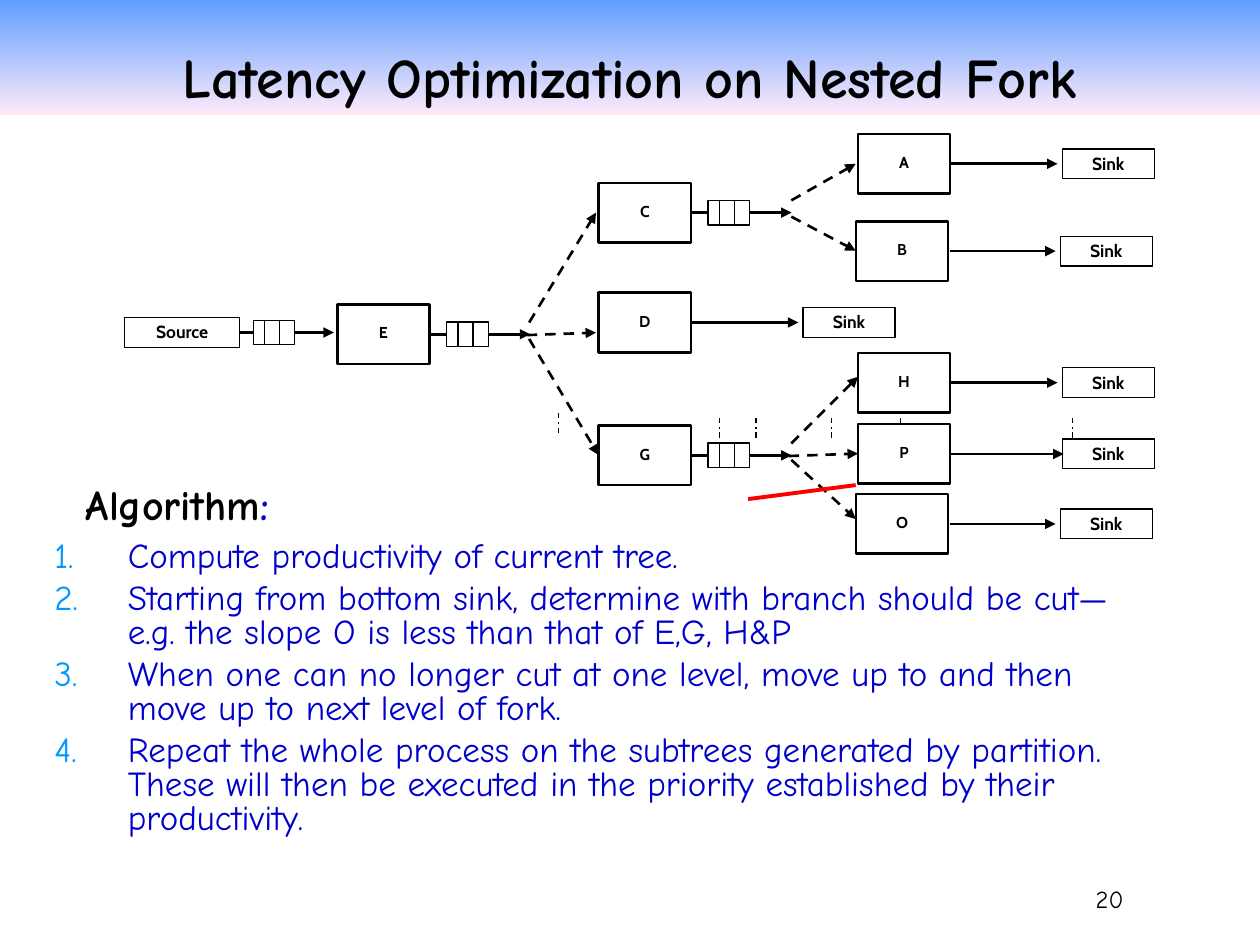
from lxml import etree
from pptx import Presentation
from pptx.dml.color import RGBColor
from pptx.enum.dml import MSO_LINE
from pptx.enum.shapes import MSO_CONNECTOR, MSO_SHAPE
from pptx.enum.text import MSO_ANCHOR, PP_ALIGN
from pptx.oxml.ns import qn
from pptx.util import Pt

RECTANGLE = MSO_SHAPE.RECTANGLE
STRAIGHT = MSO_CONNECTOR.STRAIGHT
DASH, DASH_DOT = MSO_LINE.DASH, MSO_LINE.DASH_DOT
LEFT, CENTER, RIGHT = PP_ALIGN.LEFT, PP_ALIGN.CENTER, PP_ALIGN.RIGHT
TOP, BOTTOM = MSO_ANCHOR.TOP, MSO_ANCHOR.BOTTOM

COLORS = {
    "ink": "000000",
    "paper": "FFFFFF",
    "sky": "5E9EFF",
    "blush": "FFEBFA",
    "body": "0000CC",
    "number": "0099FF",
    "cut": "FF0000",
}
HEADING_FONT, DIAGRAM_FONT = "Comic Neue", "Cabin"

NODE_W, NODE_H = 52.6, 34
TAG_H = 17
LABEL_W = 26
SINK_OFFSET = 116.7
TRUNK = 57.6
QUEUE_W, QUEUE_H = 23.8, 14.1
QUEUE_DIVIDERS = (6.5, 15.1)

NODES = {
    "E": (192.8, 191), "C": (342.2, 121.5), "D": (342.2, 184.3),
    "G": (342.2, 260.2), "A": (490.3, 93.6), "B": (489.2, 143.5),
    "H": (490.3, 218.7), "P": (490.3, 259.4), "O": (489.2, 299.4),
}
FORKS = "ECG"
LEAVES = "DABHPO"
BRANCHES = [
    (302.4, 184.3, 340.6, 121.5), (301, 191.5, 340.6, 190.1),
    (302.4, 193.7, 342, 260), (452.2, 114.5, 489, 93.6),
    (452.2, 123.8, 489, 143.3), (452.2, 253.4, 490.3, 215.3),
    (450.7, 260.6, 490.3, 259.2), (452.2, 262.8, 489, 296.6),
]
ELLIPSES = [(319, 236.2), (411.1, 239), (432, 239), (475.2, 239),
            (514.8, 239), (612.7, 239)]
STEPS = [
    "Compute productivity of current tree.",
    "Starting from bottom sink, determine with branch should be cut—"
    "e.g. the slope O is less than that of E,G, H&P",
    "When one can no longer cut at one level, move up to and then "
    "move up to next level of fork.",
    "Repeat the whole process on the subtrees generated by partition. "
    "These will then be executed in the priority established by their "
    "productivity.",
]


def rgb(name):
    return RGBColor.from_string(COLORS[name])


def style_font(font, face, size, color="ink", bold=False):
    font.name = face
    font.size = Pt(size)
    font.bold = bold
    font.color.rgb = rgb(color)


def set_frame(frame, anchor=TOP, insets=(7.2, 3.6, 7.2, 3.6)):
    frame.word_wrap = True
    frame.vertical_anchor = anchor
    (frame.margin_left, frame.margin_top,
     frame.margin_right, frame.margin_bottom) = map(Pt, insets)


def write(frame, text, face, size, bold=False, align=CENTER):
    paragraph = frame.paragraphs[0]
    paragraph.text = text
    paragraph.alignment = align
    style_font(paragraph.runs[0].font, face, size, bold=bold)


def add_text(slide, left, top, width, height, **frame_options):
    frame = slide.shapes.add_textbox(
        Pt(left), Pt(top), Pt(width), Pt(height)).text_frame
    set_frame(frame, **frame_options)
    return frame


def add_box(shapes, left, top, width, height, border=None):
    box = shapes.add_shape(RECTANGLE, Pt(left), Pt(top), Pt(width), Pt(height))
    box.shadow.inherit = False
    box.fill.solid()
    box.fill.fore_color.rgb = rgb("paper")
    if border:
        box.line.color.rgb = rgb("ink")
        box.line.width = Pt(border)
    else:
        box.line.fill.background()
    return box


def add_tag(shapes, text, left, center, width=NODE_W, size=10, border=0.75):
    tag = add_box(shapes, left, center - TAG_H / 2, width, TAG_H, border)
    set_frame(tag.text_frame, insets=(2.2,) * 4)
    write(tag.text_frame, text, DIAGRAM_FONT, size, bold=True)


def add_line(shapes, x1, y1, x2, y2, width=1.5, color="ink", dash=None,
             arrow=False):
    line = shapes.add_connector(STRAIGHT, Pt(x1), Pt(y1), Pt(x2), Pt(y2))
    line.line.color.rgb = rgb(color)
    line.line.width = Pt(width)
    if dash:
        line.line.dash_style = dash
    if arrow:
        etree.SubElement(line.line._get_or_add_ln(), qn("a:tailEnd"),
                         type="triangle")
    etree.SubElement(line._element.spPr, qn("a:effectLst"))


def add_node(shapes, name):
    left, center = NODES[name]
    add_box(shapes, left, center - NODE_H / 2, NODE_W, NODE_H, 1.5)
    add_tag(shapes, name, left + (NODE_W - LABEL_W) / 2, center, LABEL_W,
            size=9, border=None)


def add_queue(shapes, left, center):
    queue = shapes.add_group_shape().shapes
    top = center - QUEUE_H / 2
    add_box(queue, left, top, QUEUE_W, QUEUE_H, 0.75)
    for offset in QUEUE_DIVIDERS:
        add_line(queue, left + offset, top, left + offset, top + QUEUE_H, 0.75)


def add_diagram(shapes):
    for x, y in ELLIPSES:
        add_line(shapes, x, y, x, y + 11.5, 0.75, dash=DASH_DOT)
    add_tag(shapes, "Source", 71.2, 190, 65.8)
    add_line(shapes, 136.8, 190, 190.8, 190, arrow=True)
    add_queue(shapes, 144.7, 190)
    for name in NODES:
        add_node(shapes, name)
    for name in FORKS:
        left, center = NODES[name]
        start = left + NODE_W
        add_line(shapes, start, center, start + TRUNK, center, arrow=True)
        add_queue(shapes, start + 9.8, center)
    for name in LEAVES:
        left, center = NODES[name]
        sink = left + SINK_OFFSET
        gap = -0.8 if name == "P" else 2.7
        add_tag(shapes, "Sink", sink, center)
        add_line(shapes, left + NODE_W + 0.8, center, sink - gap, center,
                 arrow=True)
    for ends in BRANCHES:
        add_line(shapes, *ends, dash=DASH, arrow=True)
    add_line(shapes, 427.5, 285.2, 489, 277.2, 2.25, color="cut")


def add_title(slide):
    banner = add_box(slide.shapes, 0, 0, 720, 66)
    banner.fill.gradient()
    banner.fill.gradient_angle = 270
    for stop, color in zip(banner.fill.gradient_stops, ("sky", "blush")):
        stop.color.rgb = rgb(color)
    set_frame(banner.text_frame, BOTTOM)
    write(banner.text_frame, "Latency Optimization on Nested Fork",
          HEADING_FONT, 32, bold=True)


def add_steps(slide):
    frame = add_text(slide, 24, 306, 642, 234)
    for index, step in enumerate(STEPS):
        paragraph = frame.add_paragraph() if index else frame.paragraphs[0]
        paragraph.text = step
        properties = paragraph._p.get_or_add_pPr()
        properties.set("marL", str(Pt(42)))
        properties.set("indent", str(-Pt(42)))
        bullet_color = etree.SubElement(properties, qn("a:buClr"))
        etree.SubElement(bullet_color, qn("a:srgbClr"), val=COLORS["number"])
        etree.SubElement(properties, qn("a:buAutoNum"), type="arabicPeriod")
        paragraph.line_spacing = 0.8
        paragraph.space_before = Pt(5 if index else 0)
        style_font(paragraph.runs[0].font, HEADING_FONT, 20, "body")


def add_algorithm_heading(slide):
    frame = add_text(slide, 42, 270, 144, 36)
    write(frame, "Algorithm", HEADING_FONT, 24, bold=True, align=LEFT)
    colon = frame.paragraphs[0].add_run()
    colon.text = ":"
    style_font(colon.font, HEADING_FONT, 24, "body", bold=True)


def main():
    deck = Presentation()
    deck.slide_width, deck.slide_height = Pt(720), Pt(540)
    slide = deck.slides.add_slide(deck.slide_layouts[6])
    page = add_text(slide, 558, 486, 84, 36, anchor=BOTTOM,
                    insets=(7.2, 3.6, 0, 0))
    write(page, "20", HEADING_FONT, 14, align=RIGHT)
    add_title(slide)
    add_steps(slide)
    add_diagram(slide.shapes)
    add_algorithm_heading(slide)
    deck.save("out.pptx")


if __name__ == "__main__":
    main()
